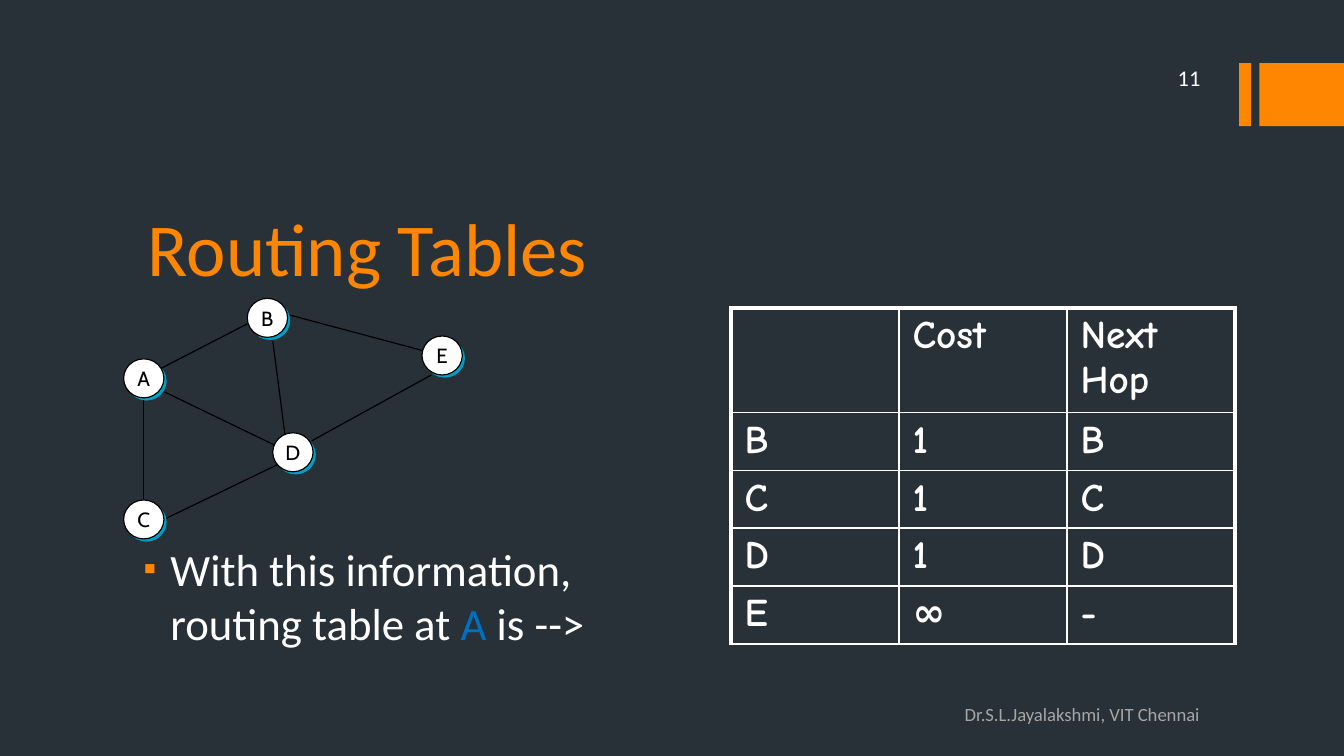
"""Build the routing tables slide: a network of five nodes and the table at node A."""
from lxml import etree
from pptx import Presentation
from pptx import util as u
from pptx.dml.color import RGBColor
from pptx.enum import shapes, text
from pptx.oxml import ns

PX = 9144
ORANGE, WHITE, BLACK, TEAL = "FF8600", "FFFFFF", "000000", "00A0C6"


def color(value):
    return RGBColor.from_string(value)


def set_font(font, name, size, value, bold=False):
    font.name, font.size, font.bold = name, u.Pt(size), bold
    font.color.rgb = color(value)


deck = Presentation()
deck.slide_width = 1000 * PX
deck.slide_height = deck.slide_width * 9 // 16
page = deck.slides.add_slide(deck.slide_layouts[5])
page.background.fill.solid()
page.background.fill.fore_color.rgb = color("283138")

for left, width in ((922, 9), (937, 63)):
    bar = page.shapes.add_shape(shapes.MSO_SHAPE.RECTANGLE, left * PX, 47 * PX, width * PX, 47 * PX)
    bar.shadow.inherit = False
    bar.fill.solid()
    bar.fill.fore_color.rgb = color(ORANGE)
    bar.line.fill.background()

title = page.shapes.title
title.left, title.top, title.width, title.height = 100 * PX, 127 * PX, 800 * PX, 95 * PX
title.text_frame.text = "Routing Tables"
title.text_frame.vertical_anchor = text.MSO_ANCHOR.BOTTOM
para = title.text_frame.paragraphs[0]
para.alignment = text.PP_ALIGN.LEFT
set_font(para.font, "Calibri", 40, ORANGE)

body = page.shapes.add_textbox(92 * PX, 319 * PX, 375 * PX, 206 * PX).text_frame
body.word_wrap = True
body.margin_top = 84 * PX
para = body.paragraphs[0]
properties = para._p.get_or_add_pPr()
properties.set("marL", str(25 * PX))
properties.set("indent", str(-20 * PX))
bullet_color = etree.SubElement(properties, ns.qn("a:buClr"))
etree.SubElement(bullet_color, ns.qn("a:srgbClr"), val=ORANGE)
etree.SubElement(properties, ns.qn("a:buSzPct"), val="80000")
etree.SubElement(properties, ns.qn("a:buFont"), typeface="Calibri")
etree.SubElement(properties, ns.qn("a:buChar"), char="▪")
for words, value in (("With this information, routing table at ", WHITE), ("A ", "0070C0"), ("is -->", WHITE)):
    span = para.add_run()
    span.text = words
    set_font(span.font, "Calibri", 24, value)

rows = (("", "Cost", "Next Hop"), ("B", "1", "B"), ("C", "1", "C"), ("D", "1", "D"), ("E", "∞", "-"))
table = page.shapes.add_table(5, 3, 544 * PX, 229 * PX, 375 * PX, 248 * PX).table
table.first_row = table.horz_banding = False
for column in table.columns:
    column.width = 125 * PX
for r, row in enumerate(rows):
    table.rows[r].height = 170 * PX // 4 if r else 78 * PX
    for c, words in enumerate(row):
        cell = table.cell(r, c)
        cell.margin_left = cell.margin_right = 10 * PX
        cell.margin_top = cell.margin_bottom = 4 * PX
        cell.text = words
        set_font(cell.text_frame.paragraphs[0].font, "Comic Neue", 21, WHITE, True)
        for side, thick in (("L", c == 0), ("R", c == 2), ("T", r == 0), ("B", False)):
            border = etree.SubElement(cell._tc.get_or_add_tcPr(), ns.qn("a:ln" + side),
                                      w=str(u.Pt(2.25 if thick else 1)))
            fill = etree.SubElement(border, ns.qn("a:solidFill"))
            etree.SubElement(fill, ns.qn("a:srgbClr"), val=WHITE)
        cell.fill.background()

links = (
    (107, 372, 107, 296), (120, 274, 184, 241), (119, 290, 204, 331), (214, 234, 315, 261),
    (208, 345, 123, 386), (321, 279, 232, 328), (203, 254, 212, 323),
)
for ends in links:
    link = page.shapes.add_connector(shapes.MSO_CONNECTOR.STRAIGHT, *(end * PX for end in ends))
    link.line.color.rgb = color(BLACK)
    link.line.width = u.Pt(0.63)
    etree.SubElement(link._element.spPr, ns.qn("a:effectLst"))

nodes = (("A", 92, 267), ("C", 92, 372), ("D", 203, 322), ("B", 184, 222), ("E", 314, 250))
for name, left, top in nodes:
    for offset, value in ((2, TEAL), (0, WHITE)):
        node = page.shapes.add_shape(shapes.MSO_SHAPE.OVAL, (left + offset) * PX, (top + offset) * PX,
                                     30 * PX, 29 * PX)
        node.shadow.inherit = False
        node.fill.solid()
        node.fill.fore_color.rgb = color(value)
        node.line.fill.background()
    node.line.color.rgb = color(BLACK)
    node.line.width = u.Pt(0.63)
    label = node.text_frame
    label.margin_left = label.margin_right = label.margin_top = label.margin_bottom = 0
    label.word_wrap = False
    label.text = name
    label.paragraphs[0].alignment = text.PP_ALIGN.CENTER
    set_font(label.paragraphs[0].font, "Cabin", 11, BLACK)

number = page.shapes.add_textbox(800 * PX, 45 * PX, 103 * PX, 25 * PX).text_frame
number.word_wrap = True
number.vertical_anchor = text.MSO_ANCHOR.MIDDLE
number.text = "11"
number.paragraphs[0].alignment = text.PP_ALIGN.RIGHT
set_font(number.paragraphs[0].font, "Calibri", 12, WHITE)

footer = page.shapes.add_textbox(708 * PX, 523 * PX, 246 * PX, 25 * PX).text_frame
footer.word_wrap = True
footer.margin_top = 0
footer.text = "Dr.S.L.Jayalakshmi, VIT Chennai"
set_font(footer.paragraphs[0].font, "Calibri", 10, "A6A6A6")

deck.save("out.pptx")
